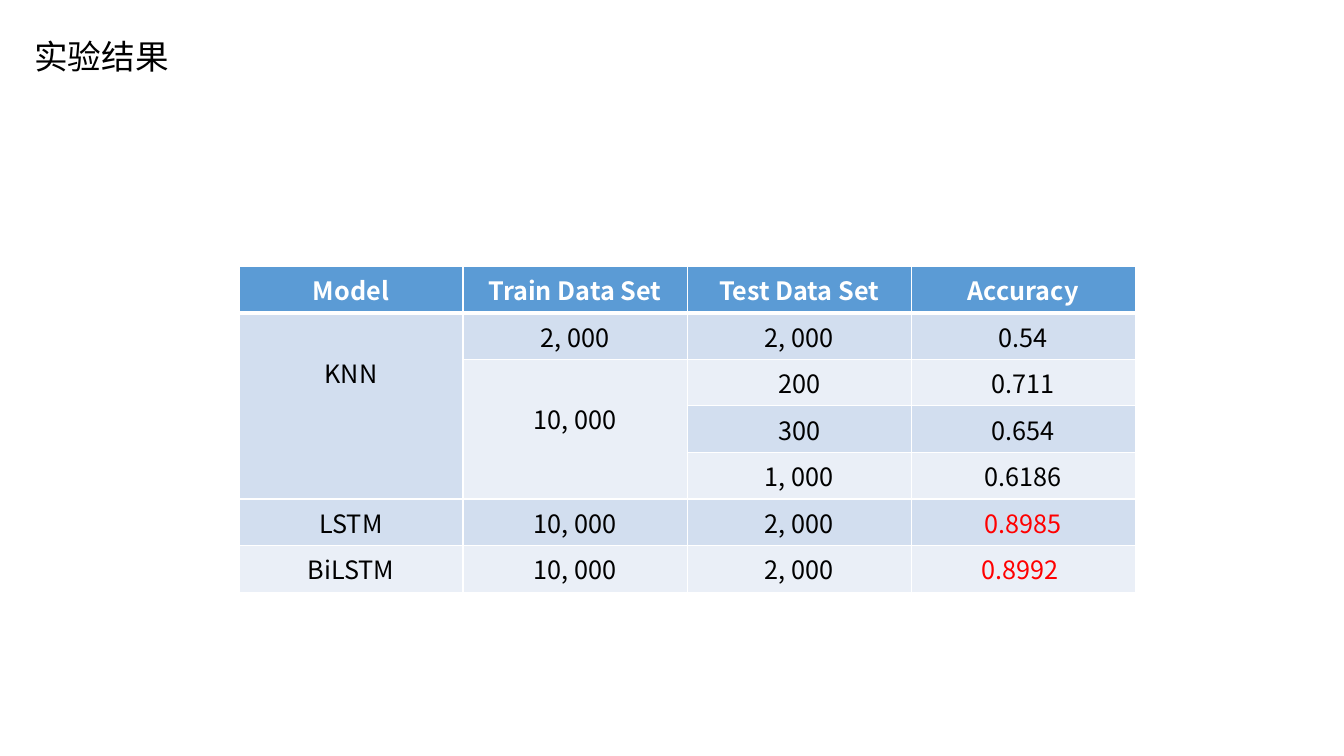
import pptx
import pptx.util
import pptx.dml.color
import pptx.enum.text
import pptx.oxml
import pptx.oxml.ns
from pptx.util import Inches

COLORS = {
    "header": "5B9BD5",
    "odd": "D2DEEF",
    "even": "EAEFF7",
    "white": "FFFFFF",
    "black": "000000",
    "best": "FF0000",
}
FONT = "Noto Sans CJK SC"
ALIGN = pptx.enum.text.PP_ALIGN
ANCHOR = pptx.enum.text.MSO_ANCHOR

RESULTS = [
    ["Model", "Train Data Set", "Test Data Set", "Accuracy"],
    ["KNN", "2, 000", "2, 000", "0.54"],
    ["", "10, 000", "200", "0.711"],
    ["", "", "300", "0.654"],
    ["", "", "1, 000", "0.6186"],
    ["LSTM", "10, 000", "2, 000", "0.8985"],
    ["BiLSTM", "10, 000", "2, 000", "0.8992 "],
]
MERGES = [((1, 0), (4, 0)), ((2, 1), (4, 1))]
BEST_CELLS = [(5, 3), (6, 3)]


def rgb(name):
    return pptx.dml.color.RGBColor.from_string(COLORS[name])


def format_text(paragraph, size, color, align, bold=False):
    paragraph.alignment = align
    font = paragraph.font
    font.name = FONT
    font.size = pptx.util.Pt(size)
    font.bold = bold
    font.color.rgb = rgb(color)


def set_borders(cell, bottom_width):
    properties = cell._tc.get_or_add_tcPr()
    widths = {"lnL": 1, "lnR": 1, "lnT": 1, "lnB": bottom_width}
    for position, (side, width) in enumerate(widths.items()):
        border = pptx.oxml.parse_xml(
            f'<a:{side} {pptx.oxml.ns.nsdecls("a")} w="{pptx.util.Pt(width)}">'
            f'<a:solidFill><a:srgbClr val="{COLORS["white"]}"/></a:solidFill>'
            f'</a:{side}>'
        )
        properties.insert(position, border)


def add_heading(slide, text, left, top, width, height):
    heading = slide.shapes.title
    heading.left, heading.top = Inches(left), Inches(top)
    heading.width, heading.height = Inches(width), Inches(height)
    frame = heading.text_frame
    frame.text = text
    frame.vertical_anchor = ANCHOR.MIDDLE
    frame.word_wrap = True
    paragraph = frame.paragraphs[0]
    paragraph.line_spacing = 0.9
    format_text(paragraph, 24, "black", ALIGN.LEFT)


def add_results(slide, left, top, width, height):
    table = slide.shapes.add_table(
        len(RESULTS), len(RESULTS[0]),
        Inches(left), Inches(top), Inches(width), Inches(height),
    ).table
    for column in table.columns:
        column.width = Inches(width / len(RESULTS[0]))
    header_height = 0.25
    for index, row in enumerate(table.rows):
        body_height = (height - header_height) / (len(RESULTS) - 1)
        row.height = Inches(body_height if index else header_height)
    for row, values in enumerate(RESULTS):
        is_header = row == 0
        fill = "header" if is_header else "odd" if row % 2 else "even"
        for column, value in enumerate(values):
            cell = table.cell(row, column)
            cell.text = value
            cell.fill.solid()
            cell.fill.fore_color.rgb = rgb(fill)
            color = "best" if (row, column) in BEST_CELLS else "black"
            format_text(cell.text_frame.paragraphs[0], 18,
                        "white" if is_header else color, ALIGN.CENTER, is_header)
            set_borders(cell, 3 if is_header else 1)
    for start, end in MERGES:
        merged = table.cell(*start)
        merged.merge(table.cell(*end))
        merged.margin_top = Inches(0.41)


deck = pptx.Presentation()
deck.slide_width, deck.slide_height = Inches(13.33), Inches(7.5)
results_slide = deck.slides.add_slide(deck.slide_layouts[5])
add_heading(results_slide, "实验结果", 0.24, 0.19, 2.23, 0.79)
add_results(results_slide, 2.37, 2.64, 8.89, 2.71)
deck.save("out.pptx")
